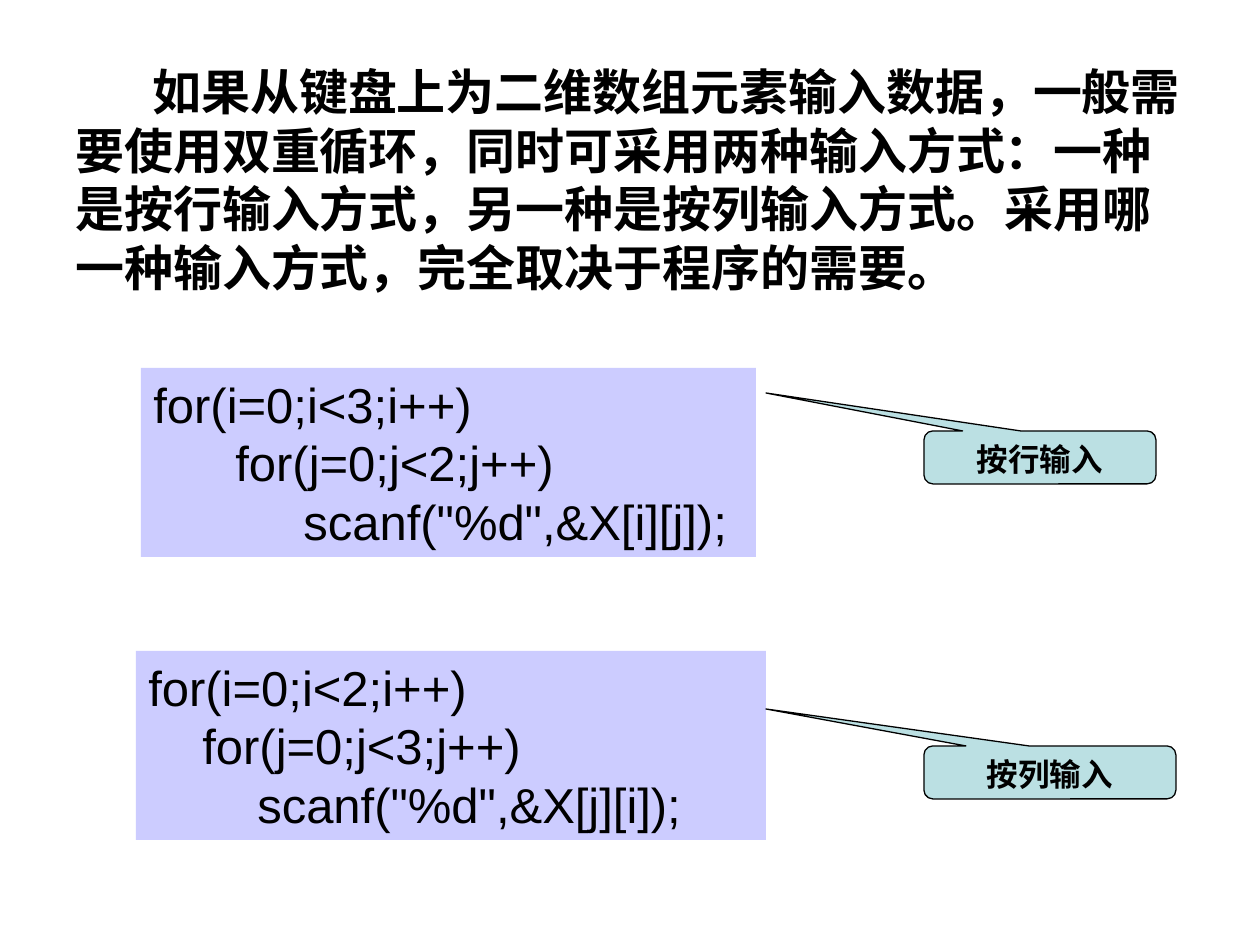
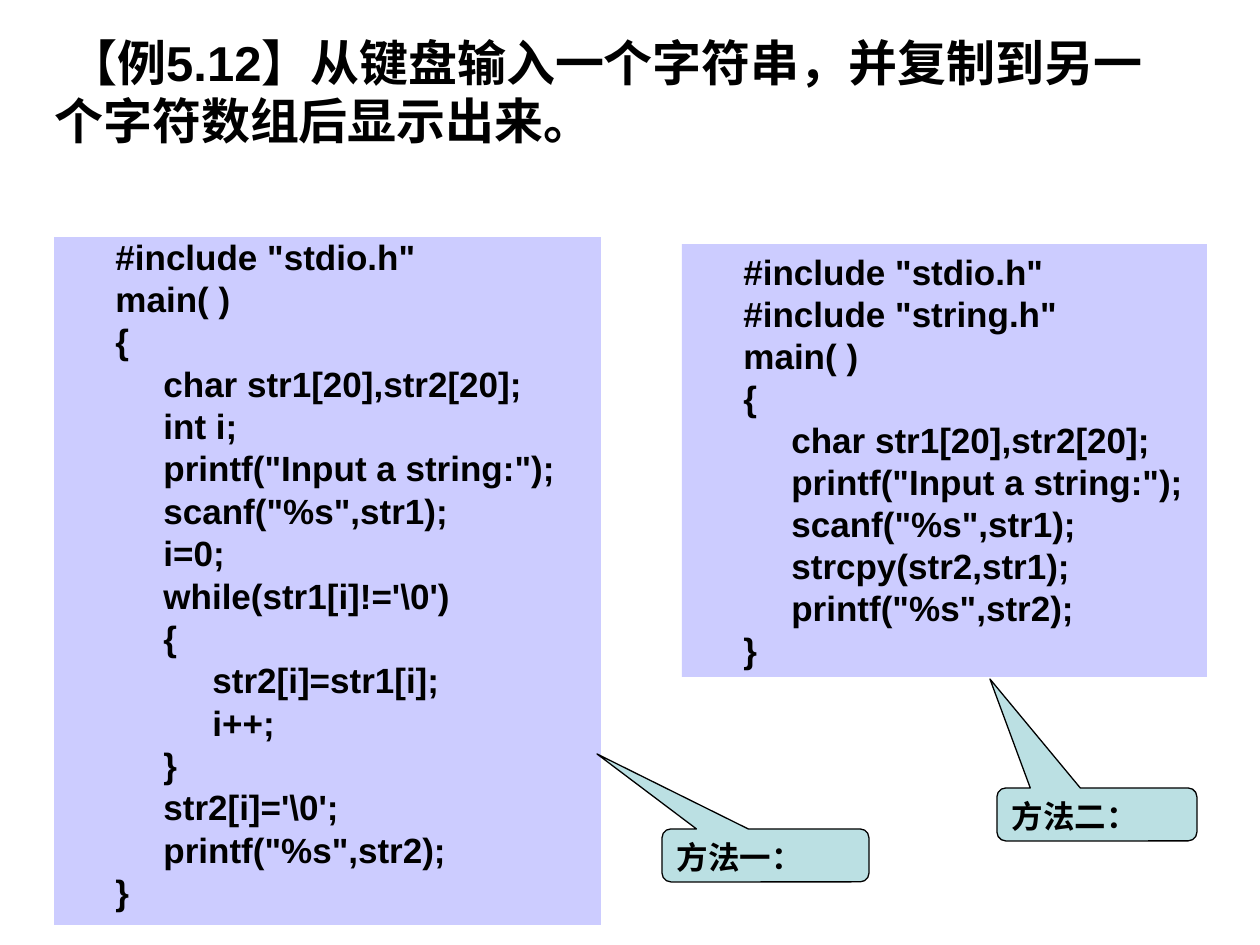
from pptx import Presentation
from pptx.dml.color import RGBColor as RGB
from pptx.enum.shapes import MSO_SHAPE as Shape
from pptx.enum.text import MSO_ANCHOR as Anchor, PP_ALIGN as Align
from pptx.util import Pt

PX = 914400 // 126
FONT = "Arial"
COLORS = {"text": "000000", "code": "CCCCFF", "note": "BBE0E3"}

ROWS = """
for(i=0;i<3;i++)
    for(j=0;j<2;j++)
        scanf("%d",&X[i][j]);
"""
COLS = """
for(i=0;i<2;i++)
    for(j=0;j<3;j++)
        scanf("%d",&X[j][i]);
"""
LOOP = r"""
#include "stdio.h"
main( )
{
    char str1[20],str2[20];
    int i;
    printf("Input a string:");
    scanf("%s",str1);
    i=0;
    while(str1[i]!='\0')
    {
        str2[i]=str1[i];
        i++;
    }
    str2[i]='\0';
    printf("%s",str2);
}
"""
COPY = """
#include "stdio.h"
#include "string.h"
main( )
{
    char str1[20],str2[20];
    printf("Input a string:");
    scanf("%s",str1);
    strcpy(str2,str1);
    printf("%s",str2);
}
"""


def color(name):
    return RGB.from_string(COLORS[name])


def scale(box):
    return [n * PX for n in box]


def style(para, size, bold):
    font = para.font
    font.name, font.size, font.bold = FONT, Pt(size), bold
    font.color.rgb = color("text")


def add_head(slide, box, text, indent, anchor=Anchor.TOP):
    """Add a bold heading whose first line is indented."""
    frame = slide.shapes.add_textbox(*scale(box)).text_frame
    frame.word_wrap = True
    frame.vertical_anchor = anchor
    para = frame.paragraphs[0]
    para.text = text
    para._p.get_or_add_pPr().set("indent", str(indent * PX))
    style(para, 28, True)


def add_panel(slide, kind, box, fill):
    shape = slide.shapes.add_shape(kind, *scale(box))
    shape.shadow.inherit = False
    shape.fill.solid()
    shape.fill.fore_color.rgb = color(fill)
    shape.text_frame.word_wrap = True
    shape.text_frame.vertical_anchor = Anchor.TOP
    return shape


def add_code(slide, box, code, steps, size=28, bold=False, tight=False):
    """Add a code panel; steps holds the left margin of each nesting level."""
    shape = add_panel(slide, Shape.RECTANGLE, box, "code")
    shape.line.fill.background()
    frame = shape.text_frame
    for i, line in enumerate(code.strip().splitlines()):
        para = frame.add_paragraph() if i else frame.paragraphs[0]
        text = line.lstrip()
        para.text = text
        para.alignment = Align.LEFT
        level = (len(line) - len(text)) // 4
        para._p.get_or_add_pPr().set("marL", str(steps[level] * PX))
        style(para, size, bold)
        if tight:
            para.line_spacing = 0.8
            para.space_before = Pt(5)


def add_note(slide, box, tip, text, align=Align.LEFT):
    """Add a callout whose tail ends at tip."""
    shape = add_panel(slide, Shape.ROUNDED_RECTANGULAR_CALLOUT, box, "note")
    shape.line.color.rgb = color("text")
    shape.line.width = Pt(0.75)
    x, y, w, h = box
    shape.adjustments[0] = (tip[0] - x) / w - 0.5
    shape.adjustments[1] = (tip[1] - y) / h - 0.5
    para = shape.text_frame.paragraphs[0]
    para.text = text
    para.alignment = align
    style(para, 18, True)


def add_input(deck):
    slide = deck.slides.add_slide(deck.slide_layouts[6])
    add_head(slide, (63, 55, 1134, 278),
             "如果从键盘上为二维数组元素输入数据，一般需要使用双重循环，"
             "同时可采用两种输入方式：一种是按行输入方式，另一种是按列输入方式。"
             "采用哪一种输入方式，完全取决于程序的需要。", 77)
    add_code(slide, (141, 368, 615, 189), ROWS, (0, 82, 150))
    add_code(slide, (136, 651, 630, 189), COLS, (0, 54, 109))
    add_note(slide, (924, 431, 232, 53), (766, 393), "按行输入", Align.CENTER)
    add_note(slide, (924, 746, 252, 53), (766, 709), "按列输入", Align.CENTER)


def add_string(deck):
    slide = deck.slides.add_slide(deck.slide_layouts[6])
    add_head(slide, (42, 21, 1134, 140),
             "【例5.12】从键盘输入一个字符串，并复制到另一个字符数组后显示出来。",
             14, Anchor.MIDDLE)
    steps = (49, 97, 146)
    add_code(slide, (54, 237, 547, 688), LOOP, steps, 20, True, tight=True)
    add_code(slide, (682, 244, 525, 433), COPY, steps, 20, True)
    add_note(slide, (997, 788, 200, 53), (990, 679), "方法二：")
    add_note(slide, (662, 829, 207, 53), (597, 754), "方法一：")


def main():
    deck = Presentation()
    deck.slide_width, deck.slide_height = scale((1260, 945))
    add_input(deck)
    add_string(deck)
    deck.save("out.pptx")


if __name__ == "__main__":
    main()
